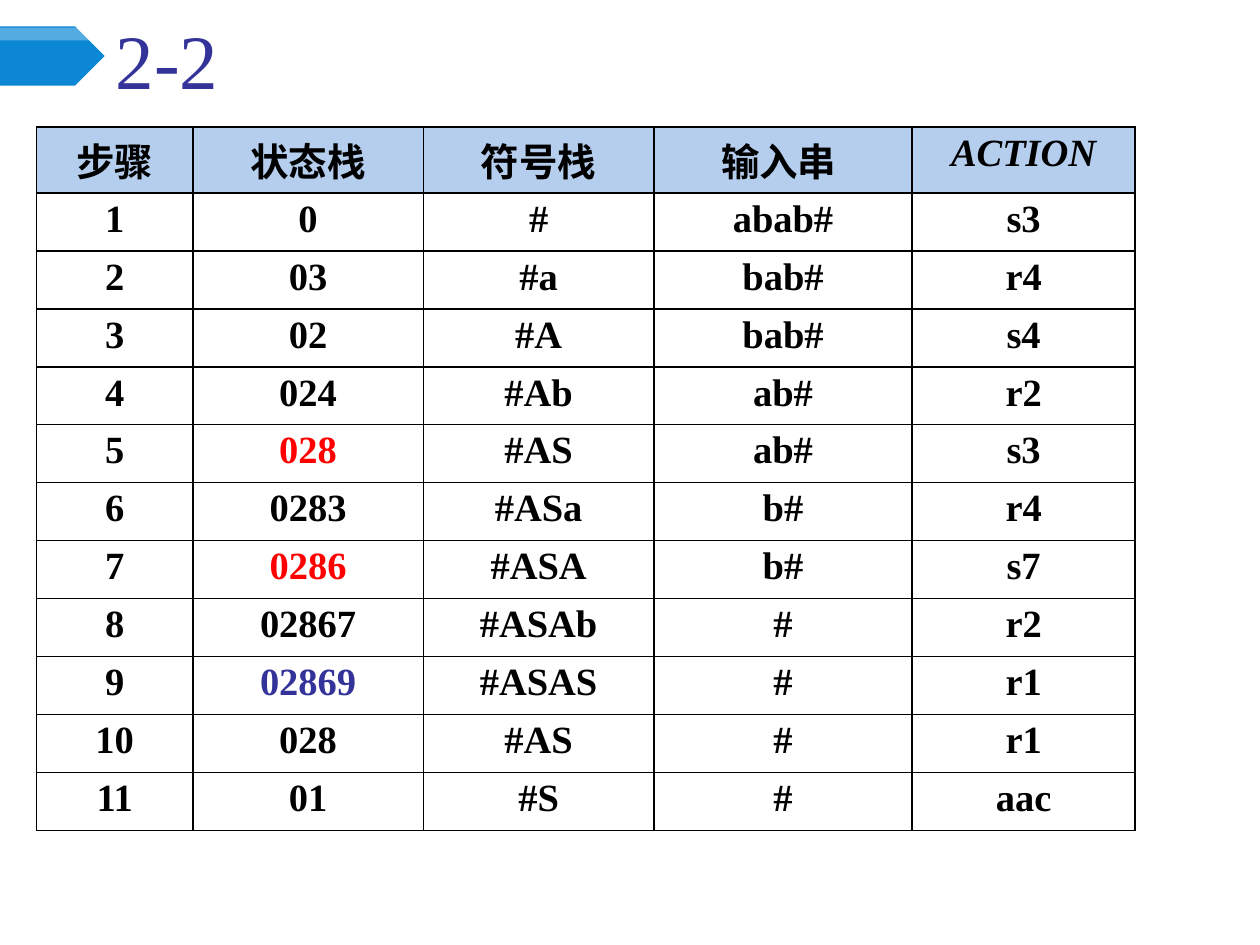
"""Build the slide with the LR parsing trace for exercise 2-2."""
from lxml.etree import SubElement
from pptx import Presentation
from pptx.dml.color import RGBColor
from pptx.enum.shapes import MSO_SHAPE
from pptx.enum.text import MSO_ANCHOR, PP_ALIGN
from pptx.oxml.ns import qn
from pptx.util import Inches, Pt

LATIN, CHINESE = "Times New Roman", "Noto Sans CJK SC"


def color(value):
    return RGBColor.from_string(value)


def style(run, hue, **formats):
    for name, value in formats.items():
        setattr(run.font, name, value)
    run.font.color.rgb = color(hue)
    SubElement(run.font._element, qn("a:ea")).set("typeface", CHINESE)


deck = Presentation()
deck.slide_width, deck.slide_height = Inches(10), Inches(7.5)
slide = deck.slides.add_slide(deck.slide_layouts[6])

for top, height, hue, opacity in [(0.21, 0.47, "0B87D6", 100), (0.22, 0.1, "FFFFFF", 30)]:
    marker = slide.shapes.add_shape(
        MSO_SHAPE.PENTAGON, Inches(0), Inches(top), Inches(0.83), Inches(height))
    marker.shadow.inherit = False
    marker.line.fill.background()
    marker.fill.solid()
    marker.fill.fore_color.rgb = color(hue)
    if opacity < 100:
        srgb = marker._element.spPr.find(qn("a:solidFill")).find(qn("a:srgbClr"))
        SubElement(srgb, qn("a:alpha")).set("val", str(opacity * 1000))

steps = [
    ("步骤", "状态栈", "符号栈", "输入串 ", "ACTION"),
    ("1", "0", "#", "abab#", "s3"),
    ("2", "03", "#a", "bab#", "r4"),
    ("3", "02", "#A", "bab#", "s4"),
    ("4", "024", "#Ab", "ab#", "r2"),
    ("5", "028", "#AS", "ab#", "s3"),
    ("6", "0283", "#ASa", "b#", "r4"),
    ("7", "0286", "#ASA", "b#", "s7"),
    ("8", "02867", "#ASAb", "#", "r2"),
    ("9", "02869", "#ASAS", "#", "r1"),
    ("10", "028", "#AS", "#", "r1"),
    ("11", "01", "#S", "#", "aac"),
]
highlights = {(5, 1): "FF0000", (7, 1): "FF0000", (9, 1): "333399"}
widths = [1.24, 1.83, 1.83, 2.05, 1.77]
heights = [0.52] + [0.46] * (len(steps) - 1)

trace = slide.shapes.add_table(
    len(steps), len(widths), Inches(0.29), Inches(1.01),
    Inches(sum(widths)), Inches(sum(heights))).table
for column, width in zip(trace.columns, widths):
    column.width = Inches(width)
for row, height in zip(trace.rows, heights):
    row.height = Inches(height)

cell_format = {
    "margin_left": Inches(0.1), "margin_right": Inches(0.1),
    "margin_top": Inches(0.04), "margin_bottom": Inches(0.04),
}
for r, step in enumerate(steps):
    for c, entry in enumerate(step):
        cell = trace.cell(r, c)
        for name, value in cell_format.items():
            setattr(cell, name, value)
        cell.vertical_anchor = MSO_ANCHOR.MIDDLE if (r, c) == (0, 0) else MSO_ANCHOR.TOP
        for side in ("a:lnL", "a:lnR", "a:lnT", "a:lnB"):
            border = SubElement(cell._tc.get_or_add_tcPr(), qn(side), w=str(Pt(1)))
            SubElement(SubElement(border, qn("a:solidFill")), qn("a:srgbClr"), val="000000")
        if r == 0:
            cell.fill.solid()
            cell.fill.fore_color.rgb = color("B5CEED")
        else:
            cell.fill.background()
        paragraph = cell.text_frame.paragraphs[0]
        paragraph.alignment = PP_ALIGN.CENTER
        run = paragraph.add_run()
        run.text = entry
        style(run, highlights.get((r, c), "000000"), size=Pt(22), bold=True,
              italic=entry == "ACTION", name=CHINESE if r == 0 and c < 3 else LATIN)

title = slide.shapes.add_textbox(Inches(0.82), Inches(0.18), Inches(8.88), Inches(0.7)).text_frame
title.word_wrap = True
title.vertical_anchor = MSO_ANCHOR.BOTTOM
heading = title.paragraphs[0].add_run()
heading.text = "2-2"
style(heading, "333399", size=Pt(44), name=LATIN)

deck.save("out.pptx")
